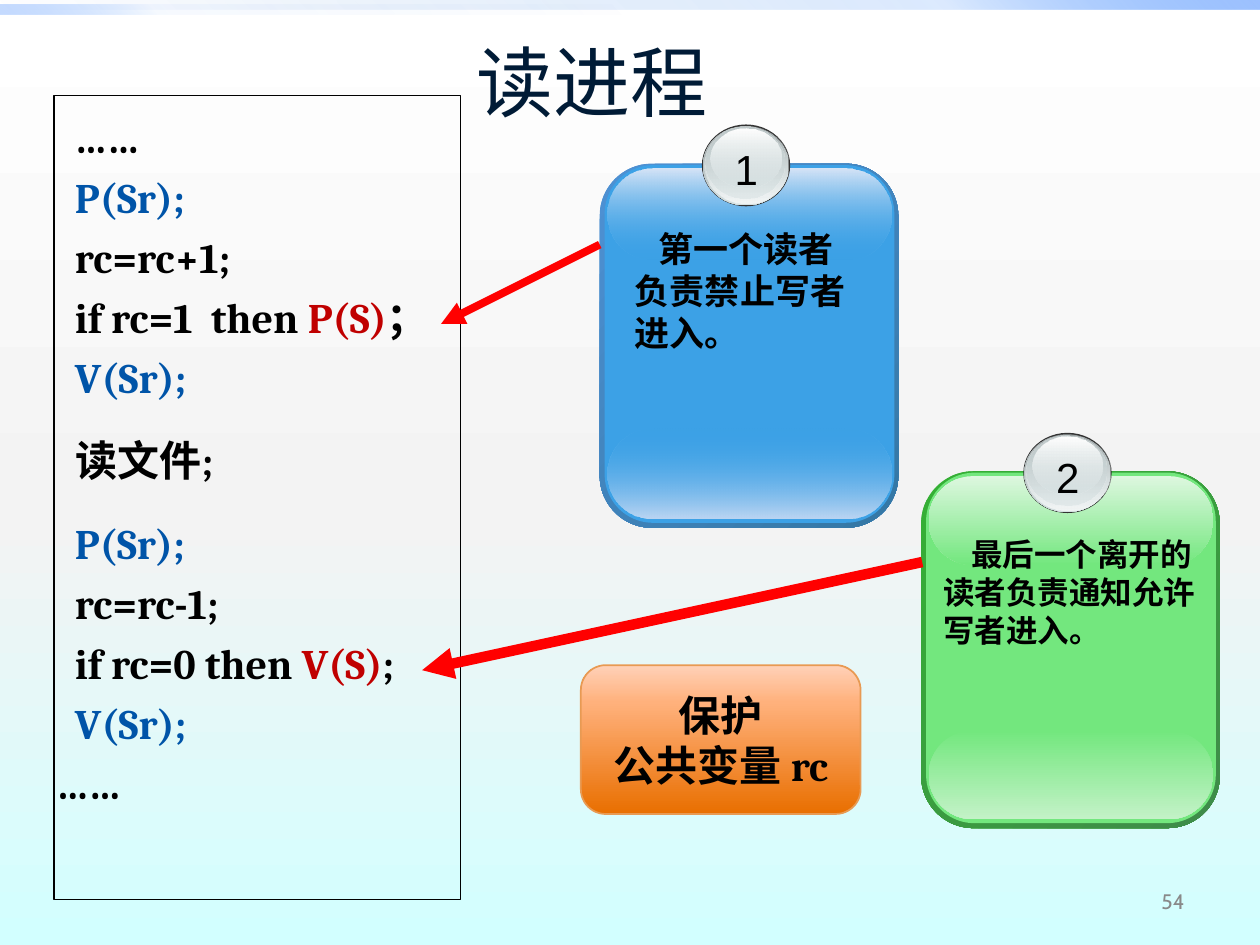
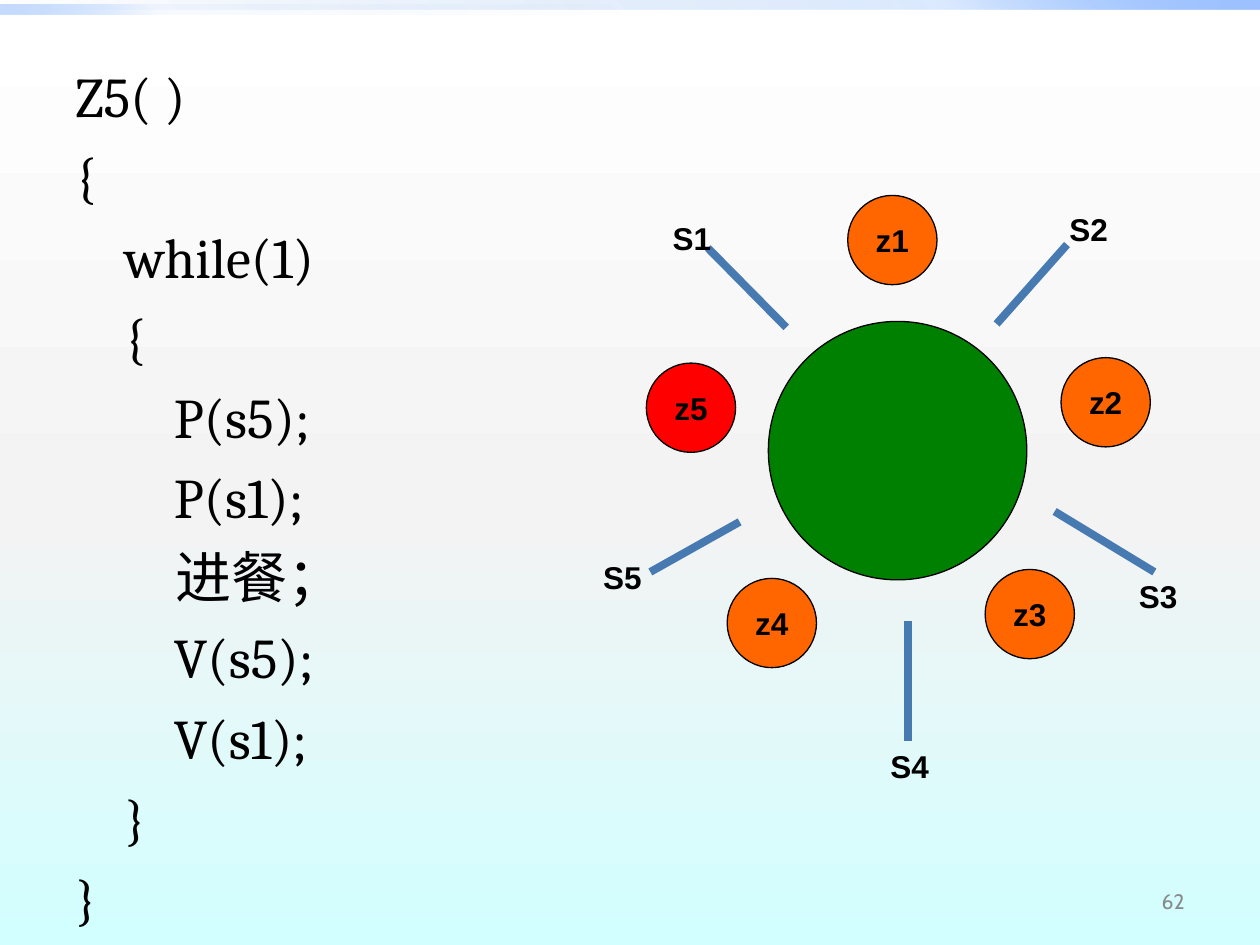
from pptx import Presentation
from pptx.dml.color import RGBColor
from pptx.enum.shapes import MSO_CONNECTOR, MSO_SHAPE
from pptx.enum.text import MSO_ANCHOR, PP_ALIGN
from pptx.oxml import parse_xml
from pptx.oxml.ns import nsdecls
from pptx.util import Cm, Pt

RECT, ROUND, OVAL = MSO_SHAPE.RECTANGLE, MSO_SHAPE.ROUNDED_RECTANGLE, MSO_SHAPE.OVAL
STRAIGHT = MSO_CONNECTOR.STRAIGHT
LEFT, MID, RIGHT = PP_ALIGN.LEFT, PP_ALIGN.CENTER, PP_ALIGN.RIGHT
TOP, CENTER = MSO_ANCHOR.TOP, MSO_ANCHOR.MIDDLE

COLORS = {
    "black": "000000", "white": "FFFFFF", "mist": "F3F3F3", "aqua": "D2FFFF",
    "navy": "001B36", "gray": "898989", "code": "0054A8", "key": "C00000",
    "red": "FF0000", "orange": "FF6600", "table": "008000", "stick": "477AB1",
    "band1": "0058B7", "band2": "4F95FF", "band3": "9EC2FF",
    "blue": "3CA1E6", "blue edge": "4E91D4", "blue deep": "3477A4",
    "blue low": "BDD6F3", "blue top": "D7E5F7",
    "green": "73E77E", "green edge": "34B034", "green deep": "3F8B4A",
    "green low": "C3F2C7", "green top": "DDF7DF",
    "rim": "333333", "steel": "99A1A2", "silver": "D6E1E2",
    "pearl": "F2F5F5", "ash": "C1CBCC",
    "amber": "E96F00", "peach": "FFB17C", "cream": "FFD1B8", "amber line": "E89A53",
}


def paint(fill, root, tint):
    """Fill with a colour name, nothing, or (angle, stops of position, name, opacity)."""
    if isinstance(tint, str):
        fill.solid()
        fill.fore_color.rgb = RGBColor.from_string(COLORS[tint])
        return
    fill.background()
    if tint is None:
        return
    angle, stops = tint
    marks = "".join(
        f'<a:gs pos="{pos * 1000}"><a:srgbClr val="{COLORS[name]}">'
        f'<a:alpha val="{alpha * 1000}"/></a:srgbClr></a:gs>'
        for pos, name, alpha in stops)
    node = root.xpath(".//a:noFill")[0]
    node.getparent().replace(node, parse_xml(
        f'<a:gradFill {nsdecls("a")} rotWithShape="1"><a:gsLst>{marks}</a:gsLst>'
        f'<a:lin ang="{angle * 60000}" scaled="0"/></a:gradFill>'))


def write(shape, lines, size, font, bold=False, align=LEFT, wrap=True, anchor=TOP, gap=0):
    """Set text from lines, each a list of (text, colour name) runs."""
    frame = shape.text_frame
    frame.word_wrap = wrap
    frame.vertical_anchor = anchor
    for i, line in enumerate(lines):
        par = frame.add_paragraph() if i else frame.paragraphs[0]
        par.alignment = align
        if i and gap:
            par.space_before = Pt(gap)
        for text, color in line:
            run = par.add_run()
            run.text = text
            run.font.size = Pt(size)
            run.font.name = font
            run.font.bold = bold
            run.font.color.rgb = RGBColor.from_string(COLORS[color])


prs = Presentation()
prs.slide_width, prs.slide_height = Cm(25.4), Cm(19.05)
master = prs.slide_master
paint(master.background.fill, master.element,
      (90, [(0, "white", 100), (55, "mist", 100), (100, "aqua", 100)]))
read = prs.slides.add_slide(prs.slide_layouts[5])
dine = prs.slides.add_slide(prs.slide_layouts[6])

# Shapes: slide, kind, box, fill, line (colour, width), corner, label
parts = []
for slide in (read, dine):
    parts += [
        (slide, RECT, (0, 0, 25.4, 0.2),
         (315, [(0, "band1", 0), (75, "band2", 20), (100, "band3", 100)]), None, None, None),
        (slide, RECT, (0, 0.1, 12.7, 0.2),
         (135, [(0, "band1", 0), (75, "band2", 5), (100, "band3", 60)]), None, None, None),
    ]

# Cards: left, top, height ratio, hue, opacity of the gloss, number, note box, size, font, indent
cards = [
    (12.09, 3.3, 1, "blue", 0, "1", "第一个读者负责禁止写者进入。",
     (0.46, 1.17, 4.93, 2.59), 20, "DejaVu Sans", 0.48),
    (18.57, 9.5, 0.98, "green", 100, "2", "最后一个离开的读者负责通知允许写者进入。",
     (0.2, 1.17, 5.72, 2.31), 18, "Arial", 0.56),
]
for x, y, ratio, hue, clear, *note in cards:
    layers = [
        (ROUND, (0, 0, 6.02, 7.34), 0.175,
         (45, [(0, hue + " edge", 100), (100, hue + " deep", 100)])),
        (ROUND, (0.1, 0.03, 5.84, 7.21), 0.167, hue),
        (ROUND, (0.15, 5.33, 5.74, 1.83), 0.5,
         (90, [(0, hue, clear), (100, hue + " low", 100)])),
        (ROUND, (0.15, 0.1, 5.74, 1.83), 0.5,
         (90, [(0, hue + " top", 100), (100, hue, clear)])),
        (OVAL, (2.06, -0.79, 1.78, 1.65), None, "rim"),
        (OVAL, (2.08, -0.76, 1.73, 1.6), None,
         (90, [(0, "steel", 100), (100, "silver", 100)])),
        (OVAL, (2.11, -0.76, 1.7, 1.57), None,
         (90, [(0, "silver", 0), (100, "pearl", 100)])),
        (OVAL, (2.13, -0.74, 1.6, 1.45), None,
         (90, [(0, "ash", 100), (100, "silver", 48)])),
        (OVAL, (2.24, -0.71, 1.42, 1.19), None,
         (90, [(0, "white", 100), (100, "silver", 38)])),
    ]
    for kind, (dx, dy, w, h), corner, tint in layers:
        parts.append((read, kind, (x + dx, y + dy * ratio, w, h * ratio),
                      tint, None, corner, None))

thin = ("black", 0.75)
parts += [
    (read, RECT, (1.09, 1.93, 8.2, 16.21), None, thin, None, None),
    (read, ROUND, (11.71, 13.41, 5.64, 3),
     (270, [(0, "amber", 100), (75, "peach", 100), (100, "cream", 100)]),
     ("amber line", 1), None,
     ([[("保护", "black")], [("公共变量 rc", "black")]], 24, "Cambria", True, MID, True, CENTER)),
    (dine, OVAL, (15.49, 6.48, 5.21, 5.21), "table", thin, None, None),
]
seats = [("z1", 17.09, 3.94), ("z2", 21.39, 7.21), ("z3", 19.86, 11.48),
         ("z4", 14.66, 11.66), ("z5", 13.03, 7.32)]
for name, x, y in seats:
    parts.append((dine, OVAL, (x, y, 1.8, 1.8), "red" if name == "z5" else "orange",
                  thin, None, ([[(name, "black")]], 18, "Arial", True, MID, False, CENTER)))

for slide, kind, box, tint, line, corner, label in parts:
    shape = slide.shapes.add_shape(kind, *map(Cm, box))
    shape.shadow.inherit = False
    paint(shape.fill, shape.element, tint)
    if line:
        shape.line.color.rgb = RGBColor.from_string(COLORS[line[0]])
        shape.line.width = Pt(line[1])
    else:
        shape.line.fill.background()
    if corner:
        shape.adjustments[0] = corner
    if label:
        write(shape, *label)

# Sticks and arrows: slide, ends, colour, width
links = [
    (read, (12.09, 4.93, 8.89, 6.53), "red", 4.5),
    (read, (18.59, 11.33, 8.51, 13.51), "red", 6),
    (dine, (14.27, 5, 15.85, 6.6), "stick", 4.5),
    (dine, (21.51, 4.93, 20.09, 6.53), "stick", 4.5),
    (dine, (21.26, 10.31, 23.27, 11.53), "stick", 4.5),
    (dine, (18.31, 12.52, 18.31, 14.94), "stick", 4.5),
    (dine, (14.91, 10.52, 13.11, 11.53), "stick", 4.5),
]
for slide, ends, color, width in links:
    link = slide.shapes.add_connector(STRAIGHT, *map(Cm, ends))
    link.line.color.rgb = RGBColor.from_string(COLORS[color])
    link.line.width = Pt(width)
    if slide is read:
        link.line._get_or_add_ln().append(
            parse_xml(f'<a:tailEnd {nsdecls("a")} type="triangle"/>'))
    link.element.spPr.append(parse_xml(f'<a:effectLst {nsdecls("a")}/>'))

# Text of the reader slide
title = read.shapes.title
title.left, title.top, title.width, title.height = map(Cm, (0.5, 0.53, 22.86, 2.18))
write(title, [[("读进程", "navy")]], 44, "Arial", align=MID, anchor=CENTER)

lines = [
    [("  ……", "black")],
    [("  P(Sr);", "code")],
    [("  rc=rc+1;", "black")],
    [("  if rc=1  then ", "black"), ("P(S)", "key"), ("；", "black")],
    [("  V(Sr);", "code")],
    [("  读文件;", "black")],
    [("  P(Sr);", "code")],
    [("  rc=rc-1;", "black")],
    [("  if rc=0 then ", "black"), ("V(S)", "key"), (";", "black")],
    [("  V(Sr);", "code")],
    [("……", "black")],
]
code = read.shapes.add_textbox(*map(Cm, (0.89, 2.13, 10.2, 17.1)))
write(code, lines, 24, "Cambria", bold=True, gap=5.5)
for par in code.text_frame.paragraphs[5:7]:
    par.space_before = Pt(18.5)

for x, y, ratio, hue, clear, num, text, (dx, dy, w, h), size, font, indent in cards:
    ball = read.shapes.add_textbox(Cm(x + 2.46), Cm(y - 0.53), Cm(0.99), Cm(1.17))
    write(ball, [[(num, "black")]], 24, "Arial", align=MID, wrap=False)
    note = read.shapes.add_textbox(Cm(x + dx), Cm(y + dy), Cm(w), Cm(h))
    write(note, [[(text, "black")]], size, font, bold=True)
    note.text_frame.paragraphs[0]._p.get_or_add_pPr().set("indent", str(Cm(indent)))

# Text of the dining slide
lines = ["Z5( )", "{", "    while(1)", "    {", "        P(s5);", "        P(s1);",
         "        进餐；", "        V(s5);", "        V(s1);", "    }", "}"]
code = dine.shapes.add_textbox(*map(Cm, (1.27, 1.12, 9.22, 16.81)))
write(code, [[(line, "black")] for line in lines], 32, "Cambria", gap=7.4)

forks = [("S1", 13.31, 4.29), ("S2", 21.31, 4.11), ("S3", 22.71, 11.51),
         ("S4", 17.7, 14.94), ("S5", 11.91, 11.13)]
for name, x, y in forks:
    fork = dine.shapes.add_textbox(Cm(x), Cm(y), Cm(1.8), Cm(1.02))
    write(fork, [[(name, "black")]], 18, "Arial", bold=True)

for slide, num in ((read, "54"), (dine, "62")):
    foot = slide.shapes.add_textbox(*map(Cm, (18.21, 17.65, 5.92, 1.02)))
    write(foot, [[(num, "gray")]], 12, "Cabin", align=RIGHT, anchor=CENTER)

prs.save("out.pptx")
